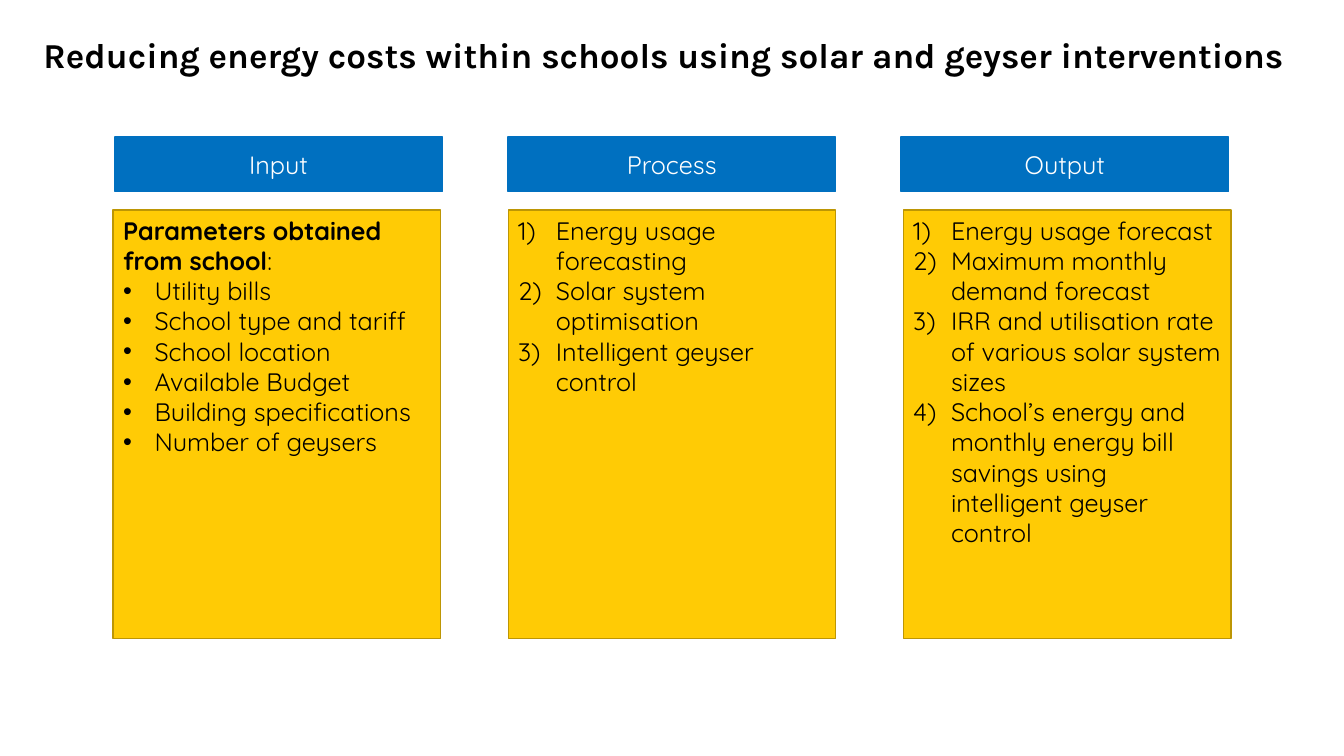
from lxml import etree
from pptx import Presentation
from pptx.dml.color import RGBColor
from pptx.enum import shapes, text
from pptx.oxml.ns import qn
from pptx.util import Pt


def style_font(font, name, size, color, bold=False):
    font.name, font.size, font.bold = name, Pt(size), bold
    font.color.rgb = RGBColor.from_string(color)


def add_box(left, top, width, height, fill, line):
    box = slide.shapes.add_shape(
        shapes.MSO_SHAPE.RECTANGLE, Pt(left), Pt(top), Pt(width), Pt(height))
    box.shadow.inherit = False
    box.fill.solid()
    box.fill.fore_color.rgb = RGBColor.from_string(fill)
    box.line.color.rgb = RGBColor.from_string(line)
    box.line.width = Pt(1)
    return box


prs = Presentation()
prs.slide_width, prs.slide_height = Pt(960), Pt(540)
slide = prs.slides.add_slide(prs.slide_layouts[5])

# Title
title = slide.shapes.title
title.left, title.top, title.width, title.height = Pt(31), Pt(27.4), Pt(898), Pt(39)
heading = title.text_frame
heading.text = "Reducing energy costs within schools using solar and geyser interventions"
heading.margin_left = heading.margin_right = heading.margin_top = heading.margin_bottom = 0
heading.vertical_anchor = text.MSO_ANCHOR.TOP
heading.auto_size = text.MSO_AUTO_SIZE.NONE
heading.paragraphs[0].alignment = text.PP_ALIGN.LEFT
heading.paragraphs[0].line_spacing = 0.9
style_font(heading.paragraphs[0].runs[0].font, "Karla", 25, "000000", True)

# Stage name, lead-in, list marker, list indent, text height, items
stages = [
    ("Input", "Parameters obtained from school", "bullet", 22.5, 181.5,
     ["Utility bills", "School type and tariff", "School location",
      "Available Budget", "Building specifications", "Number of geysers"]),
    ("Process", None, "number", 27, 138,
     ["Energy usage forecasting", "Solar system optimisation",
      "Intelligent geyser control"]),
    ("Output", None, "number", 27, 269,
     ["Energy usage forecast", "Maximum monthly demand forecast",
      "IRR and utilisation rate of various solar system sizes",
      "School’s energy and monthly energy bill savings using "
      "intelligent geyser control"]),
]
column_width = 234
panel_top = 150

for i, (stage, lead_in, marker, indent, list_height, items) in enumerate(stages):
    # Yellow panel
    panel_left = 80.8 + 282.2 * i
    add_box(panel_left, panel_top, column_width, 306, "FFCB05", "BD9604")

    # Blue stage header
    header = add_box(82 + 280.8 * i, 98, column_width, 39, "0070C0", "0070C0")
    header.text_frame.text = stage
    header.text_frame.vertical_anchor = text.MSO_ANCHOR.MIDDLE
    header.text_frame.paragraphs[0].alignment = text.PP_ALIGN.CENTER
    style_font(header.text_frame.paragraphs[0].runs[0].font, "Quicksand", 18, "FFFFFF")

    # Stage details
    details = slide.shapes.add_textbox(
        Pt(panel_left), Pt(panel_top), Pt(column_width), Pt(list_height)).text_frame
    details.word_wrap = True
    details.auto_size = text.MSO_AUTO_SIZE.SHAPE_TO_FIT_TEXT
    details.text = "\n".join(([lead_in] if lead_in else []) + items)
    listed = list(details.paragraphs)
    if lead_in:
        lead = listed.pop(0)
        style_font(lead.runs[0].font, "Quicksand", 18, "000000", True)
        colon = lead.add_run()
        colon.text = ":"
        style_font(colon.font, "Quicksand", 18, "000000")
    for item in listed:
        properties = item._p.get_or_add_pPr()
        properties.set("marL", str(Pt(indent)))
        properties.set("indent", str(-Pt(indent)))
        if marker == "bullet":
            etree.SubElement(properties, qn("a:buFont"), typeface="Arial")
            etree.SubElement(properties, qn("a:buChar"), char="•")
        else:
            etree.SubElement(properties, qn("a:buFont"), typeface="+mj-lt")
            etree.SubElement(properties, qn("a:buAutoNum"), type="arabicParenR")
        style_font(item.runs[0].font, "Quicksand", 18, "000000")

prs.save("out.pptx")
